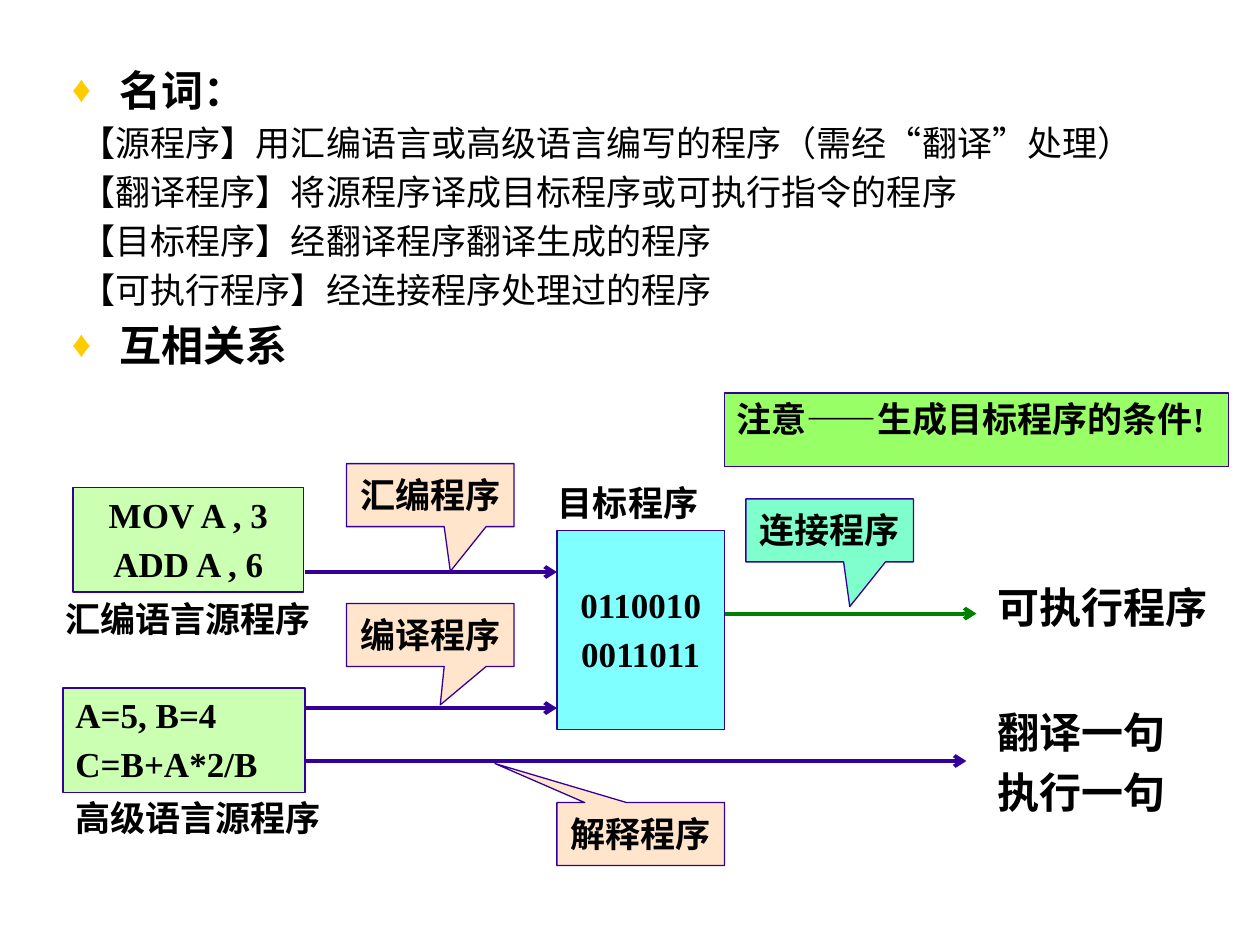
"""Build the slide on source, object and executable programs and their relations."""
from lxml.etree import SubElement
from pptx import Presentation
from pptx.dml.color import RGBColor
from pptx.enum.shapes import MSO_CONNECTOR, MSO_SHAPE
from pptx.enum.text import MSO_ANCHOR, PP_ALIGN
from pptx.oxml.ns import qn
from pptx.util import Inches, Pt

BLACK = RGBColor(0x00, 0x00, 0x00)
PURPLE = RGBColor(0x33, 0x00, 0x99)
GREEN = RGBColor(0x00, 0x80, 0x00)
LIME = RGBColor(0x99, 0xFF, 0x66)
CYAN = RGBColor(0x00, 0xFF, 0xFF)
PEACH = RGBColor(0xFF, 0xCC, 0x99)
MINT = RGBColor(0x00, 0xFF, 0x99)
GOLD = "FFCC00"
LATIN, CJK = "Times New Roman", "Noto Sans CJK SC"
LEFT, CENTER = PP_ALIGN.LEFT, PP_ALIGN.CENTER
TOP, MIDDLE = MSO_ANCHOR.TOP, MSO_ANCHOR.MIDDLE
LINE_PITCH = 1.15

TERMS = [
    ("名词：", True),
    ("【源程序】用汇编语言或高级语言编写的程序（需经“翻译”处理）", False),
    ("【翻译程序】将源程序译成目标程序或可执行指令的程序", False),
    ("【目标程序】经翻译程序翻译生成的程序", False),
    ("【可执行程序】经连接程序处理过的程序", False),
    ("互相关系", True),
]
BOXES = [
    (["MOV A , 3", "ADD A , 6"], (0.58, 3.87, 1.83, 0.83), LIME, 50, CENTER, MIDDLE),
    (["A=5, B=4", "C=B+A*2/B"], (0.5, 5.46, 1.92, 0.83), LIME, 50, LEFT, MIDDLE),
    (["0110010", "0011011"], (4.42, 4.21, 1.33, 1.58), CYAN, 50, CENTER, MIDDLE),
    (["注意——生成目标程序的条件!"], (5.75, 3.12, 4, 0.58), LIME, 100, LEFT, TOP),
]
ARROWS = [
    (2.42, 4.42, 4.54, PURPLE),
    (2.42, 4.42, 5.62, PURPLE),
    (2.42, 7.67, 6.04, PURPLE),
    (5.75, 7.75, 4.87, GREEN),
]
CALLOUTS = [
    ("汇编程序", (2.75, 3.68), (0.12, 1.21), PEACH),
    ("编译程序", (2.75, 4.79), (0.06, 1.11), PEACH),
    ("解释程序", (4.42, 6.37), (-0.87, -1.12), PEACH),
    ("连接程序", (5.92, 3.96), (0.12, 1.21), MINT),
]
LABELS = [
    (["目标程序"], (4.33, 3.79, 1.32, 0.44), 20),
    (["高级语言源程序"], (0.5, 6.29, 2.18, 0.44), 20),
    (["汇编语言源程序"], (0.42, 4.71, 2.18, 0.44), 20),
    (["可执行程序"], (7.82, 4.58, 1.89, 0.51), 24),
    (["翻译一句", "执行一句"], (7.82, 5.57, 1.55, 0.99), 24),
]


def inches(values):
    return [Inches(value) for value in values]


def write(frame, lines, size=20, align=LEFT, anchor=TOP, wrap=False):
    frame.word_wrap = wrap
    frame.vertical_anchor = anchor
    frame.text = "\n".join(lines)
    for index, paragraph in enumerate(frame.paragraphs):
        paragraph.alignment = align
        paragraph.line_spacing = Pt(round(size * LINE_PITCH))
        paragraph.space_before = Pt(size * 0.25 if index else 0)
        style(paragraph.font, size, True, LATIN)


def style(font, size, bold, name):
    font.size, font.bold, font.name = Pt(size), bold, name
    font.color.rgb = BLACK


def add_bullet(properties):
    color = SubElement(properties, qn("a:buClr"))
    SubElement(color, qn("a:srgbClr"), val=GOLD)
    SubElement(properties, qn("a:buSzPct"), val="90000")
    SubElement(properties, qn("a:buChar"), char="♦")


def fill_terms(body):
    body.left, body.top, body.width, body.height = inches((0.47, 0.47, 9.3, 3))
    frame = body.text_frame
    frame.text = "\n".join(text for text, _ in TERMS)
    for index, (paragraph, (_, heading)) in enumerate(zip(frame.paragraphs, TERMS)):
        size = 24 if heading else 20
        paragraph.line_spacing = Pt(round(size * LINE_PITCH))
        paragraph.space_before = Pt(size * 0.25 if index else 0)
        properties = paragraph._p.get_or_add_pPr()
        properties.set("marL", str(Inches(0.38 if heading else 0.45)))
        properties.set("indent", str(Inches(-0.38)))
        if heading:
            add_bullet(properties)
        else:
            SubElement(properties, qn("a:buNone"))
        style(paragraph.font, size, heading, CJK)


def add_panel(slide, preset, place, color, opacity):
    panel = slide.shapes.add_shape(preset, *inches(place))
    panel.shadow.inherit = False
    panel.fill.solid()
    panel.fill.fore_color.rgb = color
    if opacity < 100:
        rgb = panel._element.spPr.find(qn("a:solidFill"))[0]
        SubElement(rgb, qn("a:alpha"), val=str(opacity * 1000))
    panel.line.color.rgb = PURPLE
    panel.line.width = Pt(0.75)
    return panel


def add_arrow(slide, start, end, y, color):
    ends = inches((start, y, end, y))
    arrow = slide.shapes.add_connector(MSO_CONNECTOR.STRAIGHT, *ends)
    arrow.line.color.rgb = color
    arrow.line.width = Pt(2.25)
    SubElement(arrow.line._get_or_add_ln(), qn("a:tailEnd"), type="arrow")
    SubElement(arrow._element.spPr, qn("a:effectLst"))


def main():
    deck = Presentation()
    deck.slide_width, deck.slide_height = inches((10, 7.5))
    slide = deck.slides.add_slide(deck.slide_layouts[1])
    title, body = slide.placeholders
    title._element.getparent().remove(title._element)
    fill_terms(body)
    for lines, place, color, opacity, align, anchor in BOXES:
        box = add_panel(slide, MSO_SHAPE.RECTANGLE, place, color, opacity)
        write(box.text_frame, lines, align=align, anchor=anchor)
    for arrow in ARROWS:
        add_arrow(slide, *arrow)
    for text, corner, tip, color in CALLOUTS:
        place = (*corner, 1.33, 0.5)
        callout = add_panel(slide, MSO_SHAPE.RECTANGULAR_CALLOUT, place, color, 50)
        callout.adjustments[0], callout.adjustments[1] = tip
        write(callout.text_frame, [text], align=CENTER, anchor=MIDDLE, wrap=True)
    for lines, place, size in LABELS:
        label = slide.shapes.add_textbox(*inches(place))
        write(label.text_frame, lines, size)
    deck.save("out.pptx")


if __name__ == "__main__":
    main()
